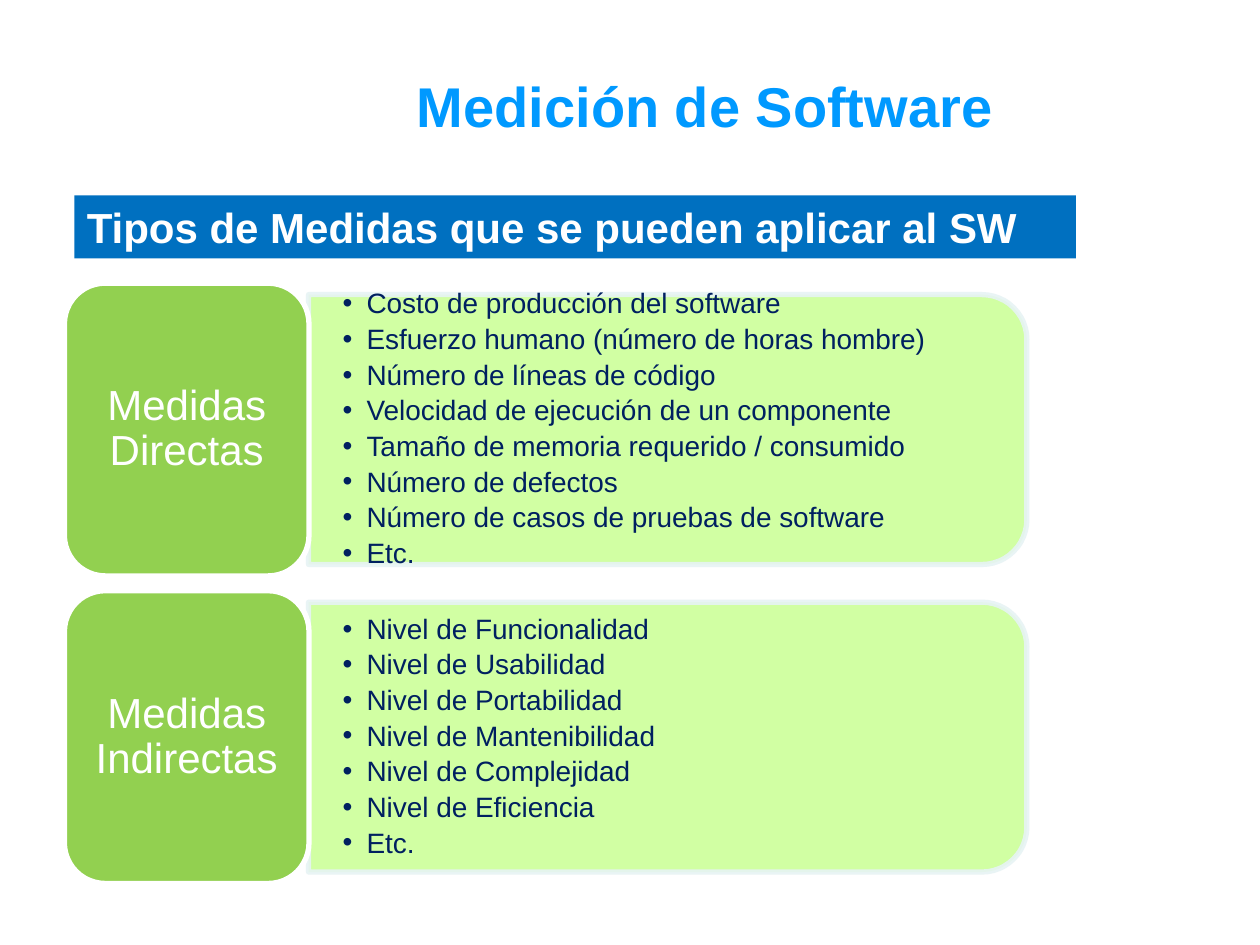
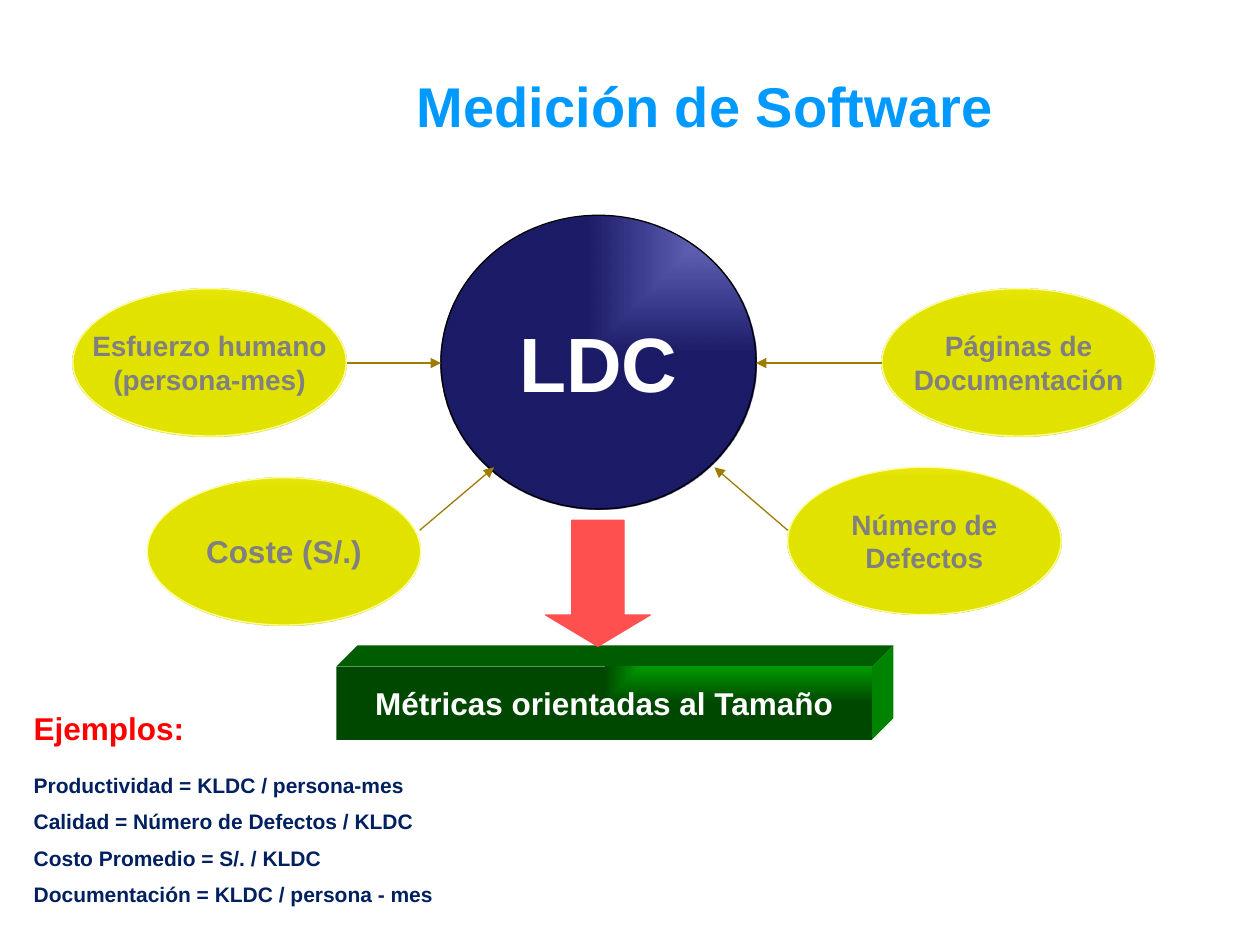
from dataclasses import dataclass
from typing import Optional

from pptx import Presentation
from pptx.dml.color import RGBColor
from pptx.enum.shapes import MSO_CONNECTOR, MSO_SHAPE
from pptx.enum.text import MSO_ANCHOR, PP_ALIGN
from pptx.oxml import parse_xml
from pptx.oxml.ns import nsdecls, qn
from pptx.util import Cm, Pt

RECT, OVAL = MSO_SHAPE.RECTANGLE, MSO_SHAPE.OVAL
TILE, PANEL = MSO_SHAPE.ROUNDED_RECTANGLE, MSO_SHAPE.ROUND_2_SAME_RECTANGLE
DOWN_ARROW, STRAIGHT = MSO_SHAPE.DOWN_ARROW, MSO_CONNECTOR.STRAIGHT
LEFT, CENTER = PP_ALIGN.LEFT, PP_ALIGN.CENTER
TOP, MIDDLE = MSO_ANCHOR.TOP, MSO_ANCHOR.MIDDLE

FONT = "Arial"
WHITE, NAVY, GREY, RED = "FFFFFF", "002060", "808080", "FF0000"
TITLE_BLUE, BAND_BLUE = "0099FF", "0070C0"
TILE_GREEN, PANEL_GREEN, PANEL_EDGE = "92D050", "CCFF99", "E7F3F4"
ARROW_GOLD, ARROW_RED = "9E7C00", "FF5050"
TOP_FACE, SIDE_FACE = "005C00", "008400"


@dataclass(frozen=True)
class Box:
    """Position and size in centimetres."""
    x: float
    y: float
    w: float
    h: float

    def emu(self) -> tuple:
        return Cm(self.x), Cm(self.y), Cm(self.w), Cm(self.h)


@dataclass(frozen=True)
class TextStyle:
    size: float
    color: str
    bold: bool = True
    align: int = LEFT
    anchor: int = TOP
    wrap: bool = True
    line: float = 1.0
    before: float = 0
    after: float = 0
    bullet: bool = False
    insets: Optional[tuple] = None


@dataclass(frozen=True)
class Stop:
    color: str
    alpha: int = 100


@dataclass(frozen=True)
class Measures:
    label: str
    items: tuple


@dataclass(frozen=True)
class Factor:
    lines: tuple
    x: float
    y: float
    start: tuple
    end: tuple
    size: float = 16


TITLE = TextStyle(32, TITLE_BLUE, align=CENTER)
BAND = TextStyle(24, WHITE)
TILE_TEXT = TextStyle(24, WHITE, bold=False, align=CENTER, anchor=MIDDLE, line=0.9)
ITEMS = TextStyle(16, NAVY, bold=False, anchor=MIDDLE, line=0.9, after=3.1,
                  bullet=True, insets=(0.69, 0.36))

MEASURES = (
    Measures("Medidas Directas", (
        "Costo de producción del software",
        "Esfuerzo humano (número de horas hombre)",
        "Número de líneas de código",
        "Velocidad de ejecución de un componente",
        "Tamaño de memoria requerido / consumido",
        "Número de defectos",
        "Número de casos de pruebas de software",
        "Etc.")),
    Measures("Medidas Indirectas", (
        "Nivel de Funcionalidad",
        "Nivel de Usabilidad",
        "Nivel de Portabilidad",
        "Nivel de Mantenibilidad",
        "Nivel de Complejidad",
        "Nivel de Eficiencia",
        "Etc.")),
)
FACTORS = (
    Factor(("Páginas de", "Documentación"), 17.78, 5.82, (17.78, 7.32), (15.24, 7.32)),
    Factor(("Número de", "Defectos"), 15.88, 9.42, (15.88, 10.69), (14.4, 9.42)),
    Factor(("Esfuerzo humano", "(persona-mes)"), 1.47, 5.82, (6.99, 7.32), (8.89, 7.32)),
    Factor(("Coste (S/.)",), 2.97, 9.63, (8.46, 10.69), (9.96, 9.42), 18),
)
FORMULAS = (
    "Productividad = KLDC / persona-mes",
    "Calidad = Número de Defectos / KLDC",
    "Costo Promedio = S/. / KLDC",
    "Documentación = KLDC / persona - mes",
)


def rgb(color: str) -> RGBColor:
    return RGBColor.from_string(color)


def add_bullet(p) -> None:
    pPr = p._p.get_or_add_pPr()
    pPr.set("marL", str(Cm(0.48)))
    pPr.set("indent", str(-Cm(0.48)))
    pPr.append(parse_xml(f'<a:buFont {nsdecls("a")} typeface="{FONT}"/>'))
    pPr.append(parse_xml(f'<a:buChar {nsdecls("a")} char="•"/>'))


def write(sp, lines: tuple, style: TextStyle) -> None:
    tf = sp.text_frame
    tf.word_wrap, tf.vertical_anchor = style.wrap, style.anchor
    if style.insets:
        side, edge = style.insets
        tf.margin_left = tf.margin_right = Cm(side)
        tf.margin_top = tf.margin_bottom = Cm(edge)
    font = {"name": FONT, "size": Pt(style.size), "bold": style.bold}
    for i, text in enumerate(lines):
        p = tf.paragraphs[0] if i == 0 else tf.add_paragraph()
        spacing = {"alignment": style.align, "line_spacing": style.line,
                   "space_before": Pt(style.before if i else 0),
                   "space_after": Pt(style.after)}
        for name, value in spacing.items():
            setattr(p, name, value)
        if style.bullet:
            add_bullet(p)
        r = p.add_run()
        r.text = text
        for name, value in font.items():
            setattr(r.font, name, value)
        r.font.color.rgb = rgb(style.color)


def add_text(s, box: Box, lines: tuple, style: TextStyle):
    sp = s.shapes.add_textbox(*box.emu())
    write(sp, lines, style)
    return sp


def paint(sp, fill: Optional[str], line: Optional[str] = None, width: float = 0.75) -> None:
    sp.shadow.inherit = False
    if fill:
        sp.fill.solid()
        sp.fill.fore_color.rgb = rgb(fill)
    else:
        sp.fill.background()
    if line:
        sp.line.color.rgb = rgb(line)
        sp.line.width = Pt(width)
    else:
        sp.line.fill.background()


def add_shape(s, kind: int, box: Box, fill: Optional[str],
              line: Optional[str] = None, width: float = 0.75):
    sp = s.shapes.add_shape(kind, *box.emu())
    paint(sp, fill, line, width)
    return sp


def set_alpha(sp, percent: int) -> None:
    """Make the fill and the outline equally translucent."""
    for clr in sp.element.spPr.iter(qn("a:srgbClr")):
        clr.append(parse_xml(f'<a:alpha {nsdecls("a")} val="{percent * 1000}"/>'))


def add_glossy(s, kind: int, box: Box, inner: Stop, outer: Stop, line: Optional[str] = None):
    """Add a shape whose gradient starts in its top right corner."""
    sp = add_shape(s, kind, box, None, line)
    stops = "".join(
        f'<a:gs pos="{pos}"><a:srgbClr val="{stop.color}">'
        f'<a:alpha val="{stop.alpha * 1000}"/></a:srgbClr></a:gs>'
        for pos, stop in ((0, inner), (100000, outer)))
    grad = parse_xml(
        f'<a:gradFill {nsdecls("a")} rotWithShape="1"><a:gsLst>{stops}</a:gsLst>'
        '<a:path path="rect"><a:fillToRect l="100000" b="100000"/></a:path></a:gradFill>')
    spPr = sp.element.spPr
    spPr.replace(spPr.find(qn("a:noFill")), grad)
    return sp


def add_arrow(s, start: tuple, end: tuple) -> None:
    cn = s.shapes.add_connector(STRAIGHT, *(Cm(v) for v in start + end))
    cn.line.color.rgb = rgb(ARROW_GOLD)
    cn.line.width = Pt(0.75)
    cn.line._get_or_add_ln().append(parse_xml(f'<a:tailEnd {nsdecls("a")} type="triangle"/>'))
    cn._element.spPr.append(parse_xml(f'<a:effectLst {nsdecls("a")}/>'))


def add_face(s, points: list, fill: str) -> None:
    first, *rest = [(Cm(x), Cm(y)) for x, y in points]
    fb = s.shapes.build_freeform(*first)
    fb.add_line_segments(rest, close=True)
    paint(fb.convert_to_shape(), fill)


def new_slide(prs):
    s = prs.slides.add_slide(prs.slide_layouts[6])
    add_text(s, Box(5.11, 1.32, 18.21, 1.63), ("Medición de Software",), TITLE)
    return s


def add_measures(s, row: int, measures: Measures) -> None:
    mid = 8.66 + 6.2 * row
    left, w, h = 6.22, 14.48, 5.44
    # The panel is turned a quarter so that its round corners face right
    panel = add_shape(s, PANEL, Box(left + (w - h) / 2, mid - w / 2, h, w),
                      PANEL_GREEN, PANEL_EDGE, 3)
    panel.rotation = 90
    set_alpha(panel, 90)
    add_text(s, Box(left, mid - 2.45, 14.22, 4.9), measures.items, ITEMS)
    tile = add_shape(s, TILE, Box(1.3, mid - 2.95, 4.93, 5.9), TILE_GREEN, WHITE, 3)
    write(tile, (measures.label,), TILE_TEXT)


def build_types(prs) -> None:
    s = new_slide(prs)
    band = add_shape(s, RECT, Box(1.5, 3.94, 20.19, 1.27), BAND_BLUE)
    write(band, ("Tipos de Medidas que se pueden aplicar al SW",), BAND)
    for row, measures in enumerate(MEASURES):
        add_measures(s, row, measures)


def add_block(s, box: Box, depth: float, text: str, style: TextStyle) -> None:
    """Add a glossy front with a top and a right face."""
    x, y, right, bottom = box.x, box.y, box.x + box.w, box.y + box.h
    corner = (right + depth, y - depth)
    add_face(s, [(x, y), (x + depth, y - depth), corner, (right, y)], TOP_FACE)
    add_face(s, [(right, y), corner, (right + depth, bottom - depth), (right, bottom)],
             SIDE_FACE)
    front = add_glossy(s, RECT, box, Stop("009900"), Stop("004700"))
    write(front, (text,), style)


def build_size_metrics(prs) -> None:
    s = new_slide(prs)

    def centred(size: float, color: str) -> TextStyle:
        return TextStyle(size, color, align=CENTER, anchor=MIDDLE, wrap=False)

    # Lines of code and the factors around them
    hub = add_glossy(s, OVAL, Box(8.89, 4.34, 6.35, 5.92),
                     Stop("000099", 51), Stop("000055", 89), "000000")
    write(hub, ("LDC",), centred(44, WHITE))
    for f in FACTORS:
        sp = add_glossy(s, OVAL, Box(f.x, f.y, 5.51, 2.97),
                        Stop("FFFF00", 56), Stop("E3E300"), "FFFF99")
        write(sp, f.lines, centred(f.size, GREY))
        add_arrow(s, f.start, f.end)

    # Resulting metrics
    add_block(s, Box(6.78, 13.44, 10.8, 1.47), 0.43,
              "Métricas orientadas al Tamaño", centred(18, WHITE))
    arrow = add_shape(s, DOWN_ARROW, Box(11, 10.49, 2.11, 2.54), ARROW_RED, ARROW_RED)
    arrow.adjustments[0], arrow.adjustments[1] = 0.5, 0.3

    # Examples
    add_text(s, Box(0.43, 14.17, 4.67, 1.02), ("Ejemplos:",), TextStyle(18, RED))
    add_text(s, Box(0.43, 15.44, 12.07, 3.07), FORMULAS, TextStyle(12, NAVY, before=6.5))


def main() -> None:
    prs = Presentation()
    prs.slide_width, prs.slide_height = Cm(25.4), Cm(19.05)
    build_types(prs)
    build_size_metrics(prs)
    prs.save("out.pptx")


if __name__ == "__main__":
    main()
